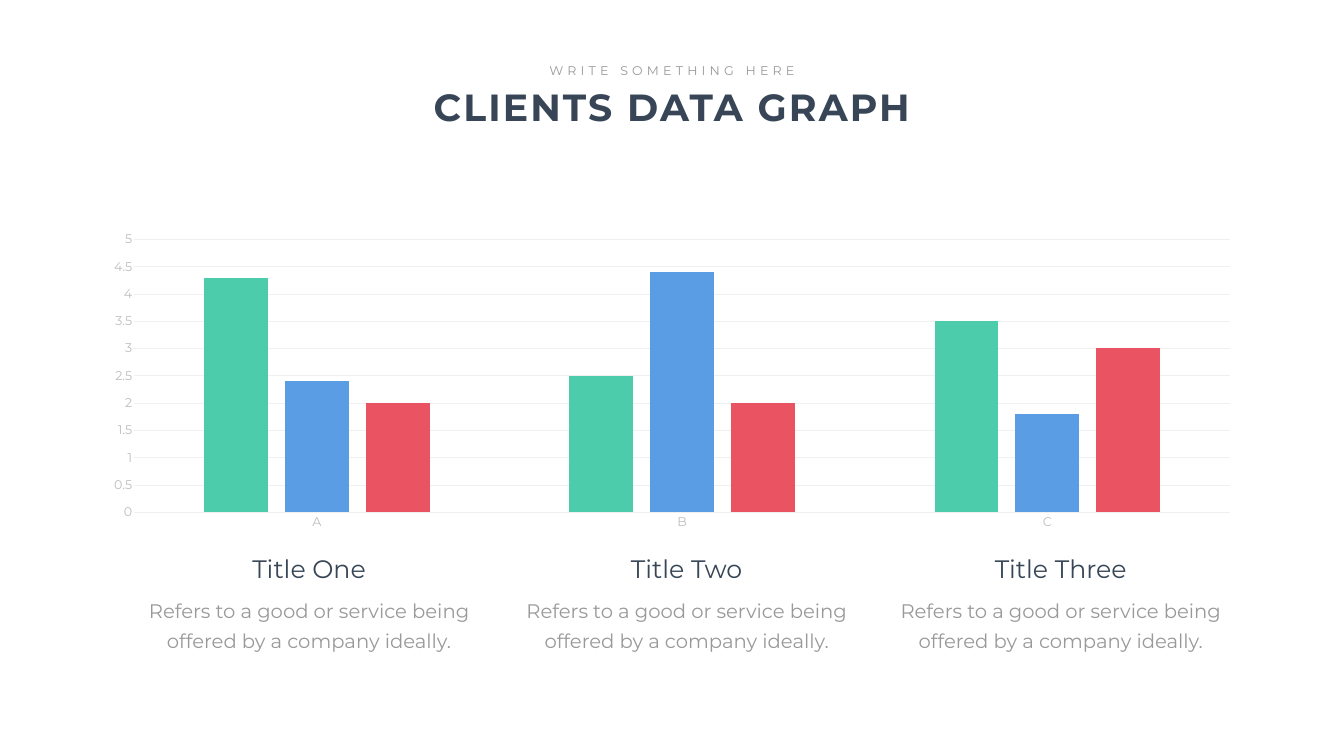
from dataclasses import dataclass

import pptx
import pptx.chart.data
import pptx.dml.color
import pptx.enum.chart
import pptx.enum.text
import pptx.oxml
import pptx.oxml.ns
import pptx.util
from pptx.util import Inches


@dataclass(frozen=True)
class Theme:
    font: str = "Montserrat"
    background: str = "FEFFFE"
    dark: str = "374556"
    grey: str = "999999"
    axis: str = "BDBDBD"
    grid: str = "F0F0F0"
    series: tuple = ("4CCCAB", "5B9DE5", "E95362")
    heading: int = 54
    title: int = 36
    body: int = 28
    small: int = 18


THEME = Theme()
CATEGORIES = ("A", "B", "C")
SERIES = {
    "Series 1": (4.3, 2.5, 3.5),
    "Series 2": (2.4, 4.4, 1.8),
    "Series 3": (2, 2, 3),
}
DESCRIPTION = "Refers to a good or service being offered by a company ideally."
COLUMNS = ((2.46, "Title One"), (9.95, "Title Two"), (17.37, "Title Three"))


def rgb(value):
    return pptx.dml.color.RGBColor.from_string(value)


def style_font(font, size, color, bold=False):
    font.name = THEME.font
    font.size = pptx.util.Pt(size)
    font.color.rgb = rgb(color)
    font.bold = bold


def add_text(s, box, text, size, color, bold=False, tracking=0, wrap=True):
    """Add a centred one-paragraph text box; tracking is in points."""
    tf = s.shapes.add_textbox(*map(Inches, box)).text_frame
    tf.word_wrap = wrap
    tf.auto_size = pptx.enum.text.MSO_AUTO_SIZE.SHAPE_TO_FIT_TEXT
    p = tf.paragraphs[0]
    p.alignment = pptx.enum.text.PP_ALIGN.CENTER
    r = p.add_run()
    r.text = text
    style_font(p.font, size, color, bold)
    if tracking:
        r.font._element.set("spc", str(tracking * 100))
    return tf


def add_header(s, left, top, width):
    add_text(s, (left, top + 0.41, width, 1.01), "CLIENTS DATA GRAPH",
             THEME.heading, THEME.dark, bold=True, tracking=3)
    kicker_width = 5.18
    add_text(s, (left + (width - kicker_width) / 2, top, kicker_width, 0.4),
             "WRITE SOMETHING HERE", THEME.small, THEME.grey, tracking=6, wrap=False)


def style_line(line):
    line.color.rgb = rgb(THEME.grid)
    line.width = pptx.util.Pt(0.75)


def set_plot_area(chart, x, y, w, h):
    """Fix the inner plot area, in fractions of the chart."""
    plot_area = chart._chartSpace.chart.plotArea
    for old in plot_area.findall(pptx.oxml.ns.qn("c:layout")):
        plot_area.remove(old)
    sizes = "".join(f'<c:{tag} val="{value}"/>'
                    for tag, value in zip("xywh", (x, y, w, h)))
    plot_area.insert(0, pptx.oxml.parse_xml(
        f'<c:layout {pptx.oxml.ns.nsdecls("c")}><c:manualLayout>'
        '<c:layoutTarget val="inner"/><c:xMode val="edge"/><c:yMode val="edge"/>'
        f'{sizes}</c:manualLayout></c:layout>'))


def add_clients_chart(s, left, top, width, height):
    data = pptx.chart.data.CategoryChartData()
    data.categories = CATEGORIES
    for name, values in SERIES.items():
        data.add_series(name, values)
    chart = s.shapes.add_chart(
        pptx.enum.chart.XL_CHART_TYPE.COLUMN_CLUSTERED,
        *map(Inches, (left, top, width, height)), data).chart
    chart.has_legend = False
    chart.has_title = False
    style_font(chart.font, THEME.small, THEME.grey)

    plot = chart.plots[0]
    plot.vary_by_categories = False
    plot.gap_width = 219
    plot.overlap = -27
    for series, color in zip(plot.series, THEME.series):
        series.invert_if_negative = False
        series.format.fill.solid()
        series.format.fill.fore_color.rgb = rgb(color)
        series.format.line.fill.background()

    for axis in (chart.category_axis, chart.value_axis):
        axis.major_tick_mark = pptx.enum.chart.XL_TICK_MARK.NONE
        axis.minor_tick_mark = pptx.enum.chart.XL_TICK_MARK.NONE
        style_font(axis.tick_labels.font, THEME.small, THEME.axis)
    style_line(chart.category_axis.format.line)
    values = chart.value_axis
    values.minimum_scale, values.maximum_scale, values.major_unit = 0, 5, 0.5
    values.format.line.fill.background()
    values.has_major_gridlines = True
    style_line(values.major_gridlines.format.line)
    set_plot_area(chart, 0.037, 0.044, 0.943, 0.88)


def add_column(s, left, top, width, title):
    tf = add_text(s, (left, top + 0.71, width, 1.39), DESCRIPTION,
                  THEME.body, THEME.grey)
    tf.margin_left = tf.margin_right = Inches(0.24)
    tf.margin_top = tf.margin_bottom = Inches(0.12)
    tf.paragraphs[0].line_spacing = pptx.util.Pt(43)
    title_width = 4.81
    add_text(s, (left + (width - title_width) / 2, top, title_width, 0.71),
             title, THEME.title, THEME.dark)


def main():
    prs = pptx.Presentation()
    prs.slide_width, prs.slide_height = Inches(26.66), Inches(15)
    s = prs.slides.add_slide(prs.slide_layouts[6])
    s.background.fill.solid()
    s.background.fill.fore_color.rgb = rgb(THEME.background)
    add_header(s, 7.37, 1.2, 11.92)
    add_clients_chart(s, 1.81, 4.48, 23.05, 6.15)
    for left, title in COLUMNS:
        add_column(s, left, 10.93, 7.34, title)
    prs.save("out.pptx")


if __name__ == "__main__":
    main()
